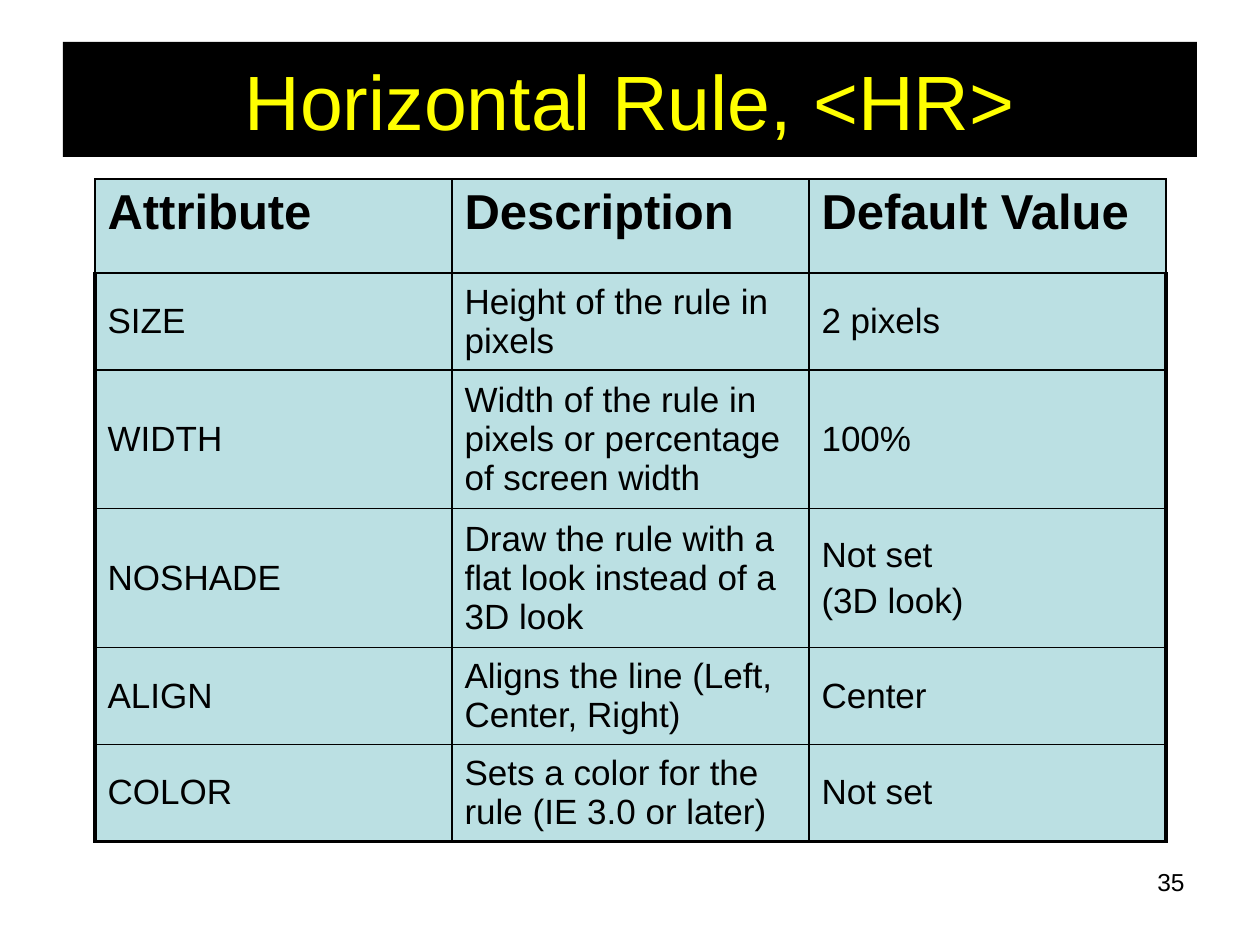
from lxml.etree import SubElement
from pptx import Presentation
from pptx.dml.color import RGBColor
from pptx.enum.shapes import MSO_SHAPE as Preset
from pptx.enum.text import MSO_ANCHOR as Anchor, PP_ALIGN as Align
from pptx.oxml.ns import qn
from pptx.util import Emu, Pt

BLACK = RGBColor(0x00, 0x00, 0x00)
YELLOW = RGBColor(0xFF, 0xFF, 0x00)
PALE_TEAL = RGBColor(0xBB, 0xE0, 0xE3)

EMU_PER_PX = 914400 / 126
THIN, THICK = 1, 2.25
COLUMN_WIDTH = 357
ROW_HEIGHTS = [94, 97, 138, 139, 96, 97]
ATTRIBUTES = [
    ("Attribute", "Description", "Default Value"),
    ("SIZE", "Height of the rule in pixels", "2 pixels"),
    ("WIDTH", "Width of the rule in pixels or percentage of screen width", "100%"),
    ("NOSHADE", "Draw the rule with a flat look instead of a 3D look", "Not set\n(3D look)"),
    ("ALIGN", "Aligns the line (Left, Center, Right)", "Center"),
    ("COLOR", "Sets a color for the rule (IE 3.0 or later)", "Not set"),
]


def px(length):
    return Emu(round(length * EMU_PER_PX))


class SlideBuilder:
    font = "Arial"

    def __init__(self, slide):
        self.slide = slide

    def add_text(self, frame, text, size, color=BLACK, bold=False, align=Align.LEFT):
        frame.word_wrap = True
        for index, line in enumerate(text.split("\n")):
            paragraph = frame.add_paragraph() if index else frame.paragraphs[0]
            paragraph.alignment = align
            if index:
                paragraph.space_before = Pt(4)
            run = paragraph.add_run()
            run.text = line
            run.font.name = self.font
            run.font.size = Pt(size)
            run.font.bold = bold
            run.font.color.rgb = color

    def title(self, text, left, top, width, height):
        banner = self.slide.shapes.add_shape(
            Preset.RECTANGLE, px(left), px(top), px(width), px(height))
        banner.shadow.inherit = False
        banner.fill.solid()
        banner.fill.fore_color.rgb = BLACK
        banner.line.fill.background()
        banner.text_frame.vertical_anchor = Anchor.MIDDLE
        self.add_text(banner.text_frame, text, 44, YELLOW, align=Align.CENTER)

    def page_number(self, text, left, top, width, height):
        box = self.slide.shapes.add_textbox(px(left), px(top), px(width), px(height))
        self.add_text(box.text_frame, text, 14, align=Align.RIGHT)

    def border(self, cell, side, width):
        properties = cell._tc.get_or_add_tcPr()
        edge = SubElement(properties, qn(f"a:ln{side}"), w=str(Pt(width)))
        fill = SubElement(edge, qn("a:solidFill"))
        SubElement(fill, qn("a:srgbClr"), val=str(BLACK))

    def table(self, rows, left, top, column_width, row_heights):
        last_row, last_column = len(rows) - 1, len(rows[0]) - 1
        table = self.slide.shapes.add_table(
            len(rows), len(rows[0]), px(left), px(top),
            px(column_width * len(rows[0])), px(sum(row_heights))).table
        table.first_row = table.horz_banding = False
        for column in table.columns:
            column.width = px(column_width)
        for r, (texts, height) in enumerate(zip(rows, row_heights)):
            table.rows[r].height = px(height)
            header = r == 0
            for c, text in enumerate(texts):
                cell = table.cell(r, c)
                heavy = {
                    "L": c == 0 and not header,
                    "R": c == last_column and not header,
                    "T": False,
                    "B": r == last_row,
                }
                for side, is_heavy in heavy.items():
                    self.border(cell, side, THICK if is_heavy else THIN)
                cell.fill.solid()
                cell.fill.fore_color.rgb = PALE_TEAL
                cell.vertical_anchor = Anchor.TOP if header else Anchor.MIDDLE
                self.add_text(cell.text_frame, text, 28 if header else 20, bold=header)


def main():
    deck = Presentation()
    deck.slide_width, deck.slide_height = px(1260), px(945)
    builder = SlideBuilder(deck.slides.add_slide(deck.slide_layouts[6]))
    builder.page_number("35", 903, 861, 294, 66)
    builder.title("Horizontal Rule, <HR>", 63, 42, 1134, 115)
    builder.table(ATTRIBUTES, 95, 179, COLUMN_WIDTH, ROW_HEIGHTS)
    deck.save("out.pptx")


if __name__ == "__main__":
    main()
